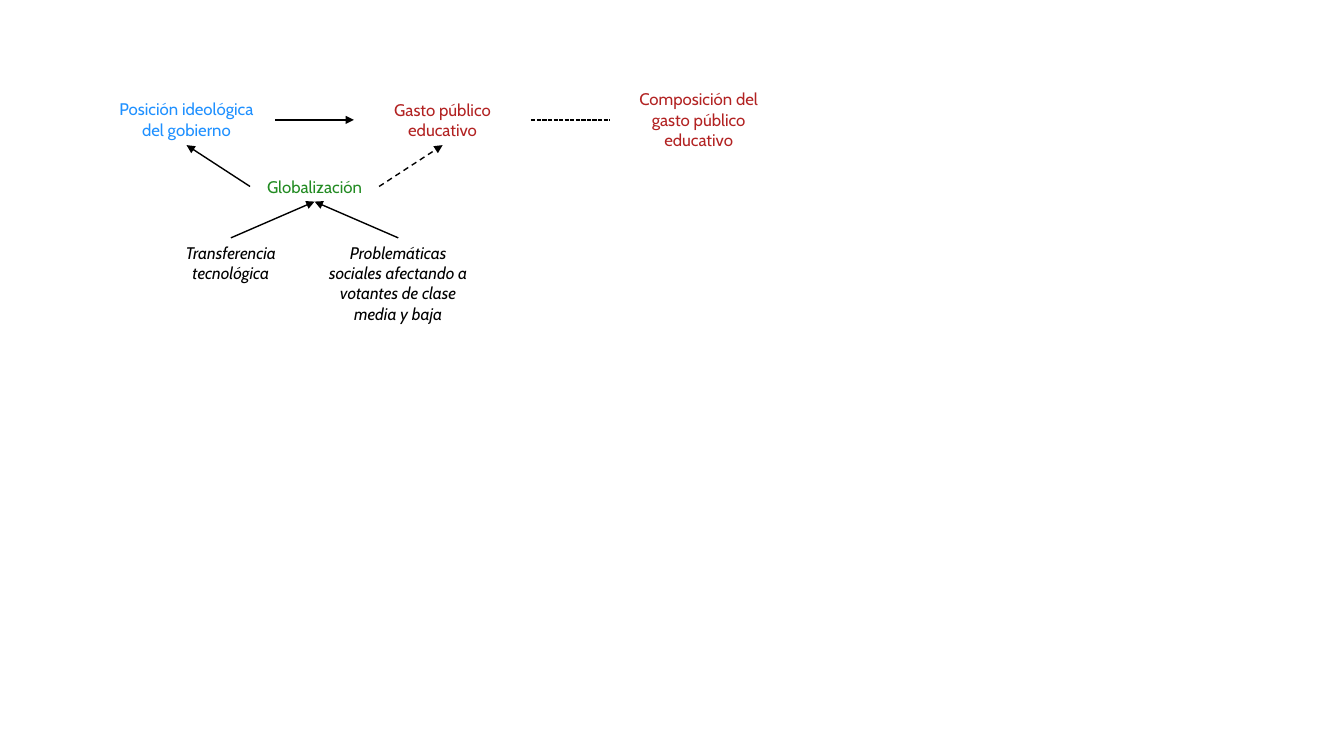
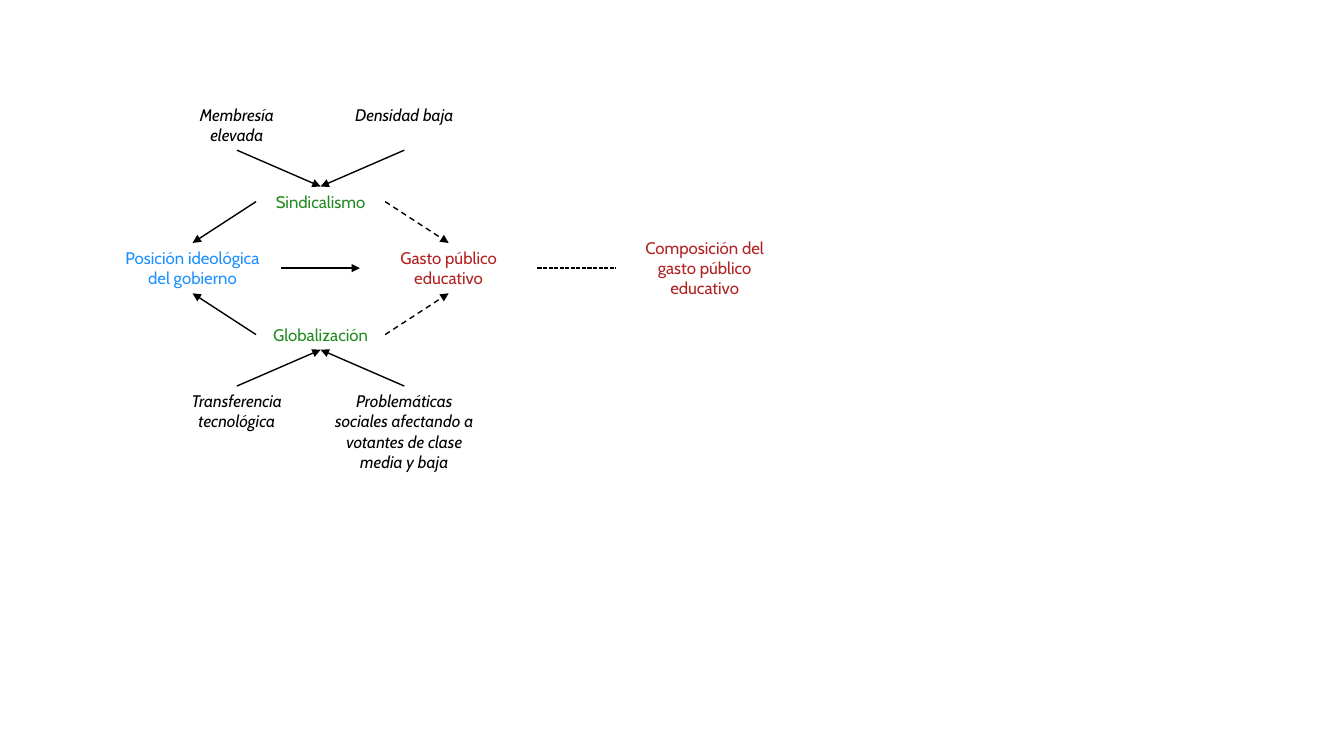
"""Two causal diagrams on public spending on education."""
from lxml import etree
from pptx import Presentation
from pptx.dml.color import RGBColor
from pptx.enum.dml import MSO_LINE
from pptx.enum.shapes import MSO_CONNECTOR
from pptx.enum.text import MSO_ANCHOR, MSO_AUTO_SIZE, PP_ALIGN
from pptx.oxml.ns import qn
from pptx.util import Inches, Pt

STRAIGHT = MSO_CONNECTOR.STRAIGHT
DASH, SHORT_DASH = MSO_LINE.DASH, MSO_LINE.SQUARE_DOT
CENTER, TOP = PP_ALIGN.CENTER, MSO_ANCHOR.TOP
FIT_SHAPE = MSO_AUTO_SIZE.SHAPE_TO_FIT_TEXT

COLORS = {"ideology": "1E90FF", "spending": "B22222", "factor": "228B22", "ink": "000000"}
FONT = "Cabin"
STAGE_WIDTH, STAGE_PITCH = 1.76, 2.54
FACTOR_WIDTH, FACTOR_HEIGHT = 1.28, 0.3
FACTOR_OFFSET, CAUSE_OFFSET, STAGE_EDGE = 0.66, 1.17, 0.25
CAUSE_SPREAD = 0.83
ABOVE, BELOW = -1, 1

GLOBALIZATION_CAUSES = [
    ("Transferencia tecnológica", 1.18, 0.5),
    ("Problemáticas sociales afectando a votantes de clase media y baja", 1.67, 0.91),
]
UNION_CAUSES = [("Membresía elevada", 1.18, 0.5), ("Densidad baja", 1.18, 0.5)]


def add_label(slide, text, center, top, width, height, color="ink", italic=False):
    """Add a centred label."""
    label = slide.shapes.add_textbox(
        Inches(center - width / 2), Inches(top), Inches(width), Inches(height))
    frame = label.text_frame
    frame.word_wrap = True
    frame.auto_size = FIT_SHAPE
    frame.vertical_anchor = TOP
    paragraph = frame.paragraphs[0]
    paragraph.alignment = CENTER
    run = paragraph.add_run()
    run.text = text
    run.font.name = FONT
    run.font.size = Pt(12)
    run.font.italic = italic
    run.font.color.rgb = RGBColor.from_string(COLORS[color])


def add_link(slide, start, end, dash=None, arrow=True):
    """Add a straight link, with an arrowhead at its end if wanted."""
    link = slide.shapes.add_connector(STRAIGHT, *map(Inches, (*start, *end)))
    link.line.width = Pt(1)
    link.line.color.rgb = RGBColor.from_string(COLORS["ink"])
    if dash:
        link.line.dash_style = dash
    properties = link._element.spPr
    if arrow:
        etree.SubElement(properties.find(qn("a:ln")), qn("a:tailEnd"), type="triangle")
    etree.SubElement(properties, qn("a:effectLst"))


def add_stages(slide, left, axis):
    """Add the row that runs from ideology to the make-up of spending."""
    stages = [
        ("Posición ideológica del gobierno", 0.51, "ideology"),
        ("Gasto público educativo", 0.5, "spending"),
        ("Composición del gasto público educativo", 0.71, "spending"),
    ]
    for index, (text, height, color) in enumerate(stages):
        center = left + STAGE_WIDTH / 2 + index * STAGE_PITCH
        add_label(slide, text, center, axis - height / 2, STAGE_WIDTH, height, color=color)
    for index, (dash, arrow) in enumerate([(None, True), (SHORT_DASH, False)]):
        stage_left = left + index * STAGE_PITCH
        add_link(slide, (stage_left + STAGE_WIDTH, axis), (stage_left + STAGE_PITCH, axis),
                 dash=dash, arrow=arrow)


def add_factor(slide, left, axis, side, text, causes):
    """Add a factor above or below the stages, with its two causes."""
    center = left + (STAGE_WIDTH + STAGE_PITCH) / 2
    factor_y = axis + side * FACTOR_OFFSET
    cause_y = axis + side * CAUSE_OFFSET
    add_label(slide, text, center, factor_y - FACTOR_HEIGHT / 2,
              FACTOR_WIDTH, FACTOR_HEIGHT, color="factor")
    for direction, dash, cause in zip((-1, 1), (None, DASH), causes):
        add_link(slide, (center + direction * FACTOR_WIDTH / 2, factor_y),
                 (center + direction * STAGE_PITCH / 2, axis + side * STAGE_EDGE), dash=dash)
        cause_text, width, height = cause
        cause_x = center + direction * CAUSE_SPREAD
        cause_top = cause_y if side == BELOW else cause_y - height
        add_label(slide, cause_text, cause_x, cause_top, width, height, italic=True)
        add_link(slide, (cause_x, cause_y), (center, factor_y + side * FACTOR_HEIGHT / 2))


def add_diagram(deck, left, axis, factors):
    """Add a slide with the stages and the given factors."""
    slide = deck.slides.add_slide(deck.slide_layouts[6])
    add_stages(slide, left, axis)
    for side, text, causes in factors:
        add_factor(slide, left, axis, side, text, causes)


def main():
    """Build and save the deck."""
    deck = Presentation()
    deck.slide_width, deck.slide_height = Inches(13.33), Inches(7.5)
    globalization = (BELOW, "Globalización", GLOBALIZATION_CAUSES)
    unions = (ABOVE, "Sindicalismo", UNION_CAUSES)
    add_diagram(deck, 0.97, 1.19, [globalization])
    add_diagram(deck, 1.03, 2.66, [globalization, unions])
    deck.save("out.pptx")


if __name__ == "__main__":
    main()
